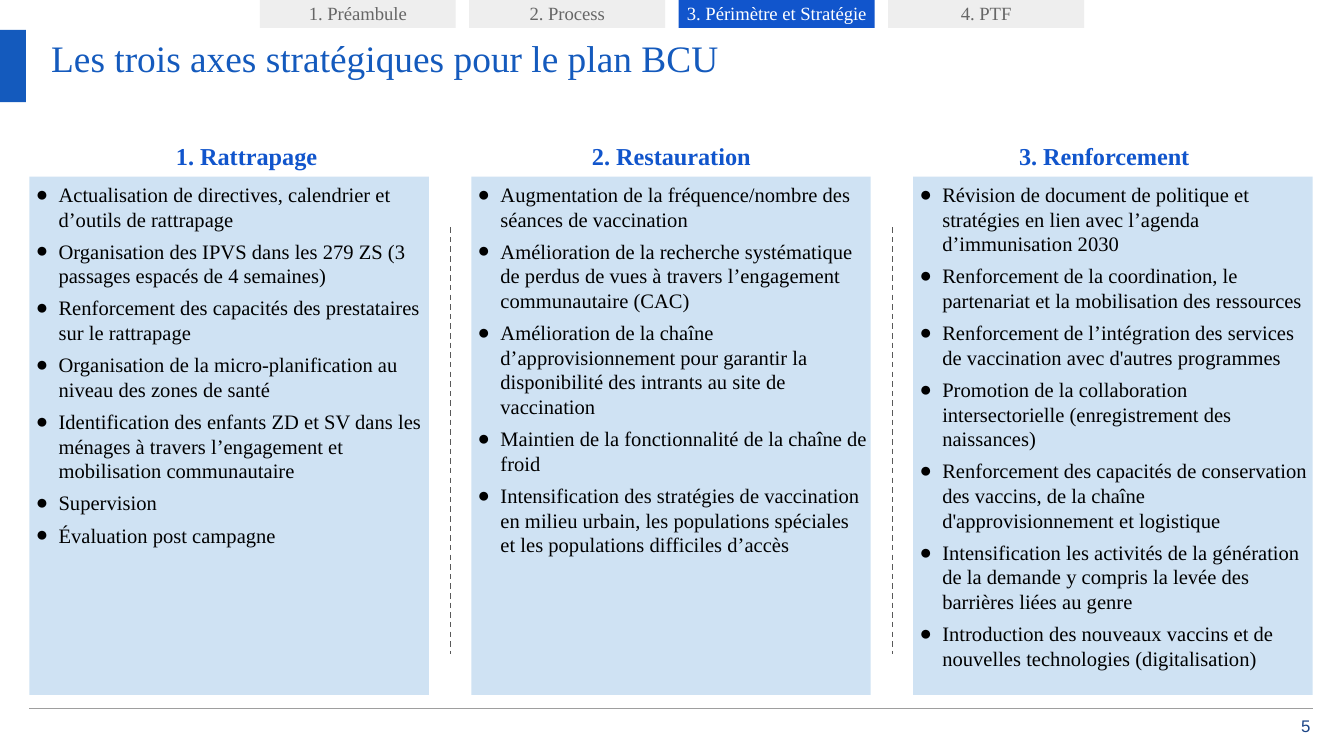
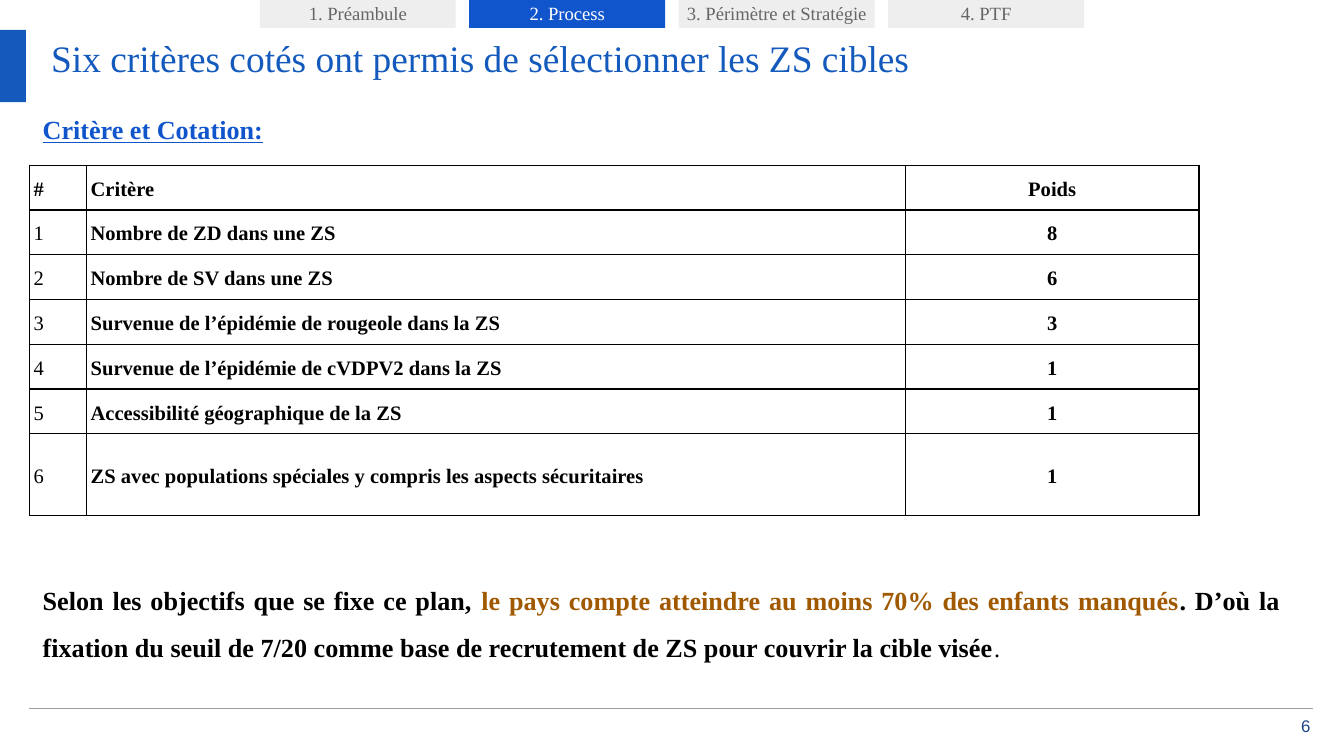
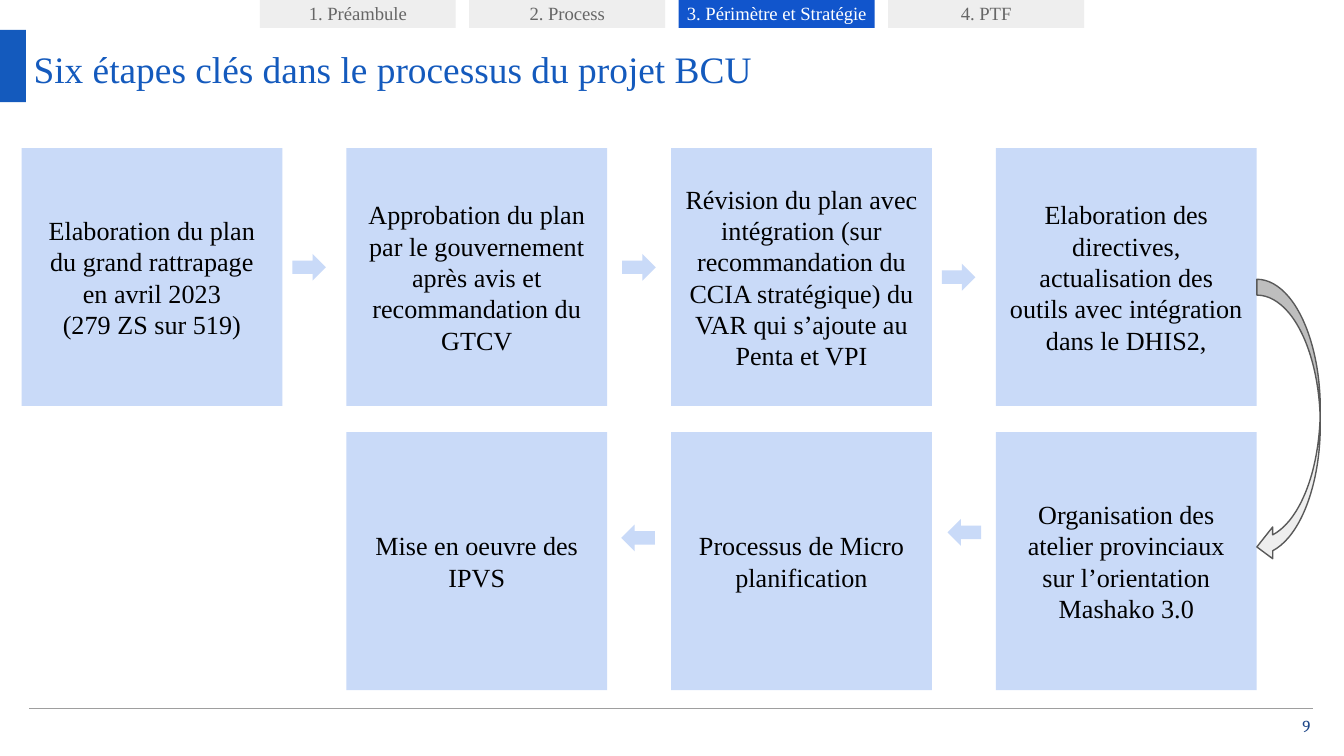
"""Build three slides on the BCU vaccination plan."""
from dataclasses import dataclass

import lxml.etree
import pptx
import pptx.dml.color
import pptx.enum.dml
import pptx.enum.shapes
import pptx.enum.text
import pptx.oxml.ns
import pptx.presentation
import pptx.shapes.autoshape
import pptx.slide
import pptx.text.text
import pptx.util

Pt = pptx.util.Pt
Align = pptx.enum.text.PP_ALIGN
Anchor = pptx.enum.text.MSO_ANCHOR
Preset = pptx.enum.shapes.MSO_SHAPE
qn = pptx.oxml.ns.qn

SERIF = "Times New Roman"
BLACK, WHITE = "000000", "FFFFFF"
TITLE_BLUE, ACCENT_BLUE, NUMBER_BLUE = "145ABD", "1155CC", "1C4587"
PANEL_BLUE, STEP_BLUE = "CFE2F3", "C9DAF8"
TAB_GREY, TAB_TEXT = "EEEEEE", "666666"
RULE_GREY, DARK_GREY = "9E9E9E", "595959"
OCHRE = "A05900"

SECTIONS = ["1. Préambule", "2. Process", "3. Périmètre et Stratégie", "4. PTF"]


@dataclass(frozen=True)
class Frame:
    """Position and size in points."""
    left: float
    top: float
    width: float
    height: float


@dataclass(frozen=True)
class Segment:
    """A run of text with its look."""
    text: str
    size: float = 14
    color: str = BLACK
    bold: bool = False
    underline: bool = False
    font: str = SERIF


@dataclass(frozen=True)
class Para:
    """A paragraph made of segments."""
    segments: list[Segment]
    align: Align = Align.LEFT
    spacing: float = 1
    before: float = 0
    margin: float = 0
    bullet: bool = False


@dataclass(frozen=True)
class Axis:
    """A strategic axis: its heading and its actions."""
    heading: str
    heading_left: float
    heading_margin: float
    actions: list[str]


@dataclass(frozen=True)
class Step:
    """A step of the process, placed by grid column and row."""
    column: int
    row: int
    lines: list[str]


@dataclass(frozen=True)
class StepArrow:
    """A small arrow between two steps."""
    left: float
    top: float
    rotation: float = 0


AXES = [
    Axis("1. Rattrapage", 54, 0, [
        "Actualisation de directives, calendrier et d’outils de rattrapage",
        "Organisation des IPVS dans les 279 ZS (3 passages espacés de 4 semaines)",
        "Renforcement des capacités des prestataires sur le rattrapage",
        "Organisation de la micro-planification au niveau des zones de santé",
        "Identification des enfants ZD et SV dans les ménages à travers l’engagement et "
        "mobilisation communautaire",
        "Supervision",
        "Évaluation post campagne",
    ]),
    Axis("2. Restauration", 281.5, 0, [
        "Augmentation de la fréquence/nombre des séances de vaccination",
        "Amélioration de la recherche systématique de perdus de vues à travers l’engagement "
        "communautaire (CAC)",
        "Amélioration de la chaîne d’approvisionnement pour garantir la disponibilité des "
        "intrants au site de vaccination",
        "Maintien de la fonctionnalité de la chaîne de froid",
        "Intensification des stratégies de vaccination en milieu urbain, les populations "
        "spéciales et les populations difficiles d’accès",
    ]),
    Axis("3. Renforcement", 495.4, 36, [
        "Révision de document de politique et stratégies en lien avec l’agenda "
        "d’immunisation 2030",
        "Renforcement de la coordination, le partenariat et la mobilisation des ressources",
        "Renforcement de l’intégration des services de vaccination avec d'autres programmes",
        "Promotion de la collaboration intersectorielle (enregistrement des naissances)",
        "Renforcement des capacités de conservation des vaccins, de la chaîne "
        "d'approvisionnement et logistique",
        "Intensification les activités de la génération de la demande y compris la levée des "
        "barrières liées au genre",
        "Introduction des nouveaux vaccins et de nouvelles technologies (digitalisation)",
    ]),
]

CRITERIA = [
    ("#", "Critère", "Poids"),
    ("1", "Nombre de ZD dans une ZS", "8"),
    ("2", "Nombre de SV dans une ZS", "6"),
    ("3", "Survenue de l’épidémie de rougeole dans la ZS", "3"),
    ("4", "Survenue de l’épidémie de cVDPV2 dans la ZS", "1"),
    ("5", "Accessibilité géographique de la ZS", "1"),
    ("6", "ZS avec populations spéciales y compris les aspects sécuritaires", "1"),
]

STEPS = [
    Step(0, 0, ["Elaboration du plan du grand rattrapage en avril 2023", "(279 ZS sur 519)"]),
    Step(1, 0, ["Approbation du plan par le gouvernement après avis et recommandation du GTCV"]),
    Step(2, 0, ["Révision du plan avec intégration (sur recommandation du CCIA stratégique) du "
                "VAR qui s’ajoute au Penta et VPI"]),
    Step(3, 0, ["Elaboration des directives, actualisation des outils avec intégration dans le "
                "DHIS2,"]),
    Step(3, 1, ["Organisation des atelier provinciaux sur l’orientation Mashako 3.0"]),
    Step(2, 1, ["Processus de Micro planification"]),
    Step(1, 1, ["Mise en oeuvre des IPVS"]),
]

STEP_ARROWS = [
    StepArrow(156.6, 136),
    StepArrow(333.3, 136),
    StepArrow(504.5, 141.3),
    StepArrow(507.6, 278, 180),
    StepArrow(332.8, 281, 180),
]


def rgb(color: str) -> pptx.dml.color.RGBColor:
    """Turn a hex string into a colour."""
    return pptx.dml.color.RGBColor.from_string(color)


def box(frame: Frame) -> tuple[int, int, int, int]:
    """Give a frame as four lengths."""
    return Pt(frame.left), Pt(frame.top), Pt(frame.width), Pt(frame.height)


def write(text_frame: pptx.text.text.TextFrame, paras: list[Para]) -> None:
    """Write paragraphs run by run."""
    for index, para in enumerate(paras):
        paragraph = text_frame.add_paragraph() if index else text_frame.paragraphs[0]
        paragraph.alignment = para.align
        paragraph.line_spacing = para.spacing
        if para.before and index:
            paragraph.space_before = Pt(para.before)
        properties = paragraph._p.get_or_add_pPr()
        if para.margin:
            properties.set("marL", str(Pt(para.margin)))
        if para.bullet:
            properties.set("indent", str(Pt(-12.2)))
            bullet_color = lxml.etree.SubElement(properties, qn("a:buClr"))
            lxml.etree.SubElement(bullet_color, qn("a:srgbClr"), val=BLACK)
            lxml.etree.SubElement(properties, qn("a:buFont"), typeface=SERIF)
            lxml.etree.SubElement(properties, qn("a:buChar"), char="●")
        for segment in para.segments:
            run = paragraph.add_run()
            run.text = segment.text
            run.font.name = segment.font
            run.font.size = Pt(segment.size)
            run.font.bold = segment.bold
            run.font.underline = segment.underline
            run.font.color.rgb = rgb(segment.color)


def fill_frame(text_frame: pptx.text.text.TextFrame, paras: list[Para],
               insets: tuple[float, float, float, float], anchor: Anchor) -> None:
    """Set wrapping, insets (left, top, right, bottom) and anchor, then write."""
    text_frame.word_wrap = True
    text_frame.vertical_anchor = anchor
    (text_frame.margin_left, text_frame.margin_top,
     text_frame.margin_right, text_frame.margin_bottom) = map(Pt, insets)
    write(text_frame, paras)


def add_text(slide: pptx.slide.Slide, frame: Frame, paras: list[Para],
             insets: tuple[float, float, float, float] = (7.2, 7.2, 7.2, 7.2),
             anchor: Anchor = Anchor.TOP) -> None:
    """Add a text box."""
    fill_frame(slide.shapes.add_textbox(*box(frame)).text_frame, paras, insets, anchor)


def add_block(slide: pptx.slide.Slide, frame: Frame, color: str,
              preset: Preset = Preset.RECTANGLE) -> pptx.shapes.autoshape.Shape:
    """Add a flat filled shape without outline."""
    block = slide.shapes.add_shape(preset, *box(frame))
    block.shadow.inherit = False
    block.fill.solid()
    block.fill.fore_color.rgb = rgb(color)
    block.line.fill.background()
    return block


def add_rule(slide: pptx.slide.Slide, start: tuple[float, float], end: tuple[float, float],
             color: str, dashed: bool = False) -> None:
    """Add a thin straight line."""
    rule = slide.shapes.add_connector(
        pptx.enum.shapes.MSO_CONNECTOR.STRAIGHT, *map(Pt, start + end))
    rule.line.color.rgb = rgb(color)
    rule.line.width = Pt(0.75)
    if dashed:
        rule.line.dash_style = pptx.enum.dml.MSO_LINE.DASH
    lxml.etree.SubElement(rule._element.spPr, qn("a:effectLst"))


def start_slide(deck: pptx.presentation.Presentation, title: str, section: int, number: str,
                title_frame: Frame = Frame(27.4, 18.7, 666, 43.2),
                title_inset: float = 0, number_font: str = "Arial") -> pptx.slide.Slide:
    """Add a slide with its band, section tabs, title and footer."""
    slide = deck.slides.add_slide(deck.slide_layouts[6])
    slide.background.fill.solid()
    slide.background.fill.fore_color.rgb = rgb(WHITE)
    add_block(slide, Frame(0, 16, 13.9, 38.7), TITLE_BLUE)
    for index, name in enumerate(SECTIONS):
        active = index == section
        tab = add_block(slide, Frame(139.2 + 112.2 * index, -0.6, 105, 15.6),
                        ACCENT_BLUE if active else TAB_GREY)
        label = Segment(name, 10, WHITE if active else TAB_TEXT)
        fill_frame(tab.text_frame, [Para([label], Align.CENTER)], (1.4, 0, 1.4, 0),
                   Anchor.MIDDLE)
    add_text(slide, title_frame, [Para([Segment(title, 20, TITLE_BLUE)])],
             (0, title_inset, title_inset, title_inset))
    add_rule(slide, (15.8, 379.6), (703.4, 379.6), RULE_GREY)
    page = Segment(number, 9, NUMBER_BLUE, font=number_font)
    add_text(slide, Frame(688.3, 383.8, 13.7, 10), [Para([page], Align.RIGHT)],
             (0, 0, 0, 0), Anchor.MIDDLE)
    return slide


def build_axes(deck: pptx.presentation.Presentation) -> None:
    """Show the three strategic axes side by side."""
    slide = start_slide(deck, "Les trois axes stratégiques pour le plan BCU", 2, "5")
    for index, axis in enumerate(AXES):
        left = 15.8 + 236.7 * index
        panel = add_block(slide, Frame(left, 94.6, 214, 277.8), PANEL_BLUE)
        actions = [Para([Segment(action, 11)], before=4, margin=14.2, bullet=True)
                   for action in axis.actions]
        fill_frame(panel.text_frame, actions, (1.4, 2.9, 1.4, 2.9), Anchor.TOP)
        heading = Segment(axis.heading, 13, ACCENT_BLUE, bold=True)
        add_text(slide, Frame(axis.heading_left, 66.2, 156.2, 19.4),
                 [Para([heading], Align.CENTER, 1.15, margin=axis.heading_margin)])
        if index:
            divider = left - 11.2
            add_rule(slide, (divider, 121.7), (divider, 350.6), DARK_GREY, dashed=True)


def build_criteria(deck: pptx.presentation.Presentation) -> None:
    """Show the weighted selection criteria and the threshold."""
    slide = start_slide(
        deck, "Six critères cotés ont permis de sélectionner les ZS cibles", 1, "6")
    heading = Para([Segment("Critère et Cotation:", color=ACCENT_BLUE, bold=True,
                            underline=True)], spacing=1.15)
    threshold = Para([
        Segment("Selon les objectifs que se fixe ce plan, ", bold=True),
        Segment("le pays compte atteindre au moins 70% des enfants manqués", color=OCHRE,
                bold=True),
        Segment(". D’où la fixation du seuil de 7/20 comme base de recrutement de ZS pour "
                "couvrir la cible visée", bold=True),
        Segment(".", 13),
    ], Align.JUSTIFY, 1.5, before=227)
    add_text(slide, Frame(15.8, 51.1, 676.8, 313.9), [heading, threshold])

    table = slide.shapes.add_table(
        len(CRITERIA), 3, *box(Frame(15.8, 88.5, 626.6, 188))).table
    table.first_row = table.horz_banding = False
    for column, width in zip(table.columns, (30.6, 438.7, 157.3)):
        column.width = Pt(width)
    for row_index, criterion in enumerate(CRITERIA):
        last = row_index == len(CRITERIA) - 1
        table.rows[row_index].height = Pt(44 if last else 24)
        for column_index, value in enumerate(criterion):
            cell = table.cell(row_index, column_index)
            cell.vertical_anchor = Anchor.MIDDLE
            cell.margin_left = cell.margin_right = Pt(2.2)
            cell.margin_top = cell.margin_bottom = Pt(1.4)
            properties = cell._tc.get_or_add_tcPr()
            for side in ("L", "R", "T", "B"):
                border = lxml.etree.SubElement(properties, qn(f"a:ln{side}"), w=str(Pt(0.75)))
                stroke = lxml.etree.SubElement(border, qn("a:solidFill"))
                lxml.etree.SubElement(stroke, qn("a:srgbClr"), val=BLACK)
            cell.fill.background()
            bold = row_index == 0 or column_index > 0
            align = Align.CENTER if column_index == 2 else Align.LEFT
            write(cell.text_frame, [Para([Segment(value, 11, bold=bold)], align, 1.15)])


def build_steps(deck: pptx.presentation.Presentation) -> None:
    """Show the six key steps as a chain of boxes."""
    slide = start_slide(deck, "Six étapes clés dans le processus du projet BCU", 2, "9",
                        Frame(18, 17.3, 684, 38.9), 7.2, "Cambria")
    for step in STEPS:
        frame = Frame(11.6 + 174 * step.column, 79.3 + 152.2 * step.row, 139.7, 138.2)
        lines = [Para([Segment(line)], Align.CENTER) for line in step.lines]
        fill_frame(add_block(slide, frame, STEP_BLUE).text_frame, lines,
                   (7.2, 7.2, 7.2, 7.2), Anchor.MIDDLE)
    for arrow in STEP_ARROWS:
        pointer = add_block(slide, Frame(arrow.left, arrow.top, 18, 14.4), STEP_BLUE,
                            Preset.RIGHT_ARROW)
        pointer.rotation = arrow.rotation
    turn = add_block(slide, Frame(673.3, 149.6, 34, 151.9), TAB_GREY, Preset.CURVED_LEFT_ARROW)
    turn.line.color.rgb = rgb(DARK_GREY)
    turn.line.width = Pt(0.75)


def main() -> None:
    """Build and save the deck."""
    deck = pptx.Presentation()
    deck.slide_width, deck.slide_height = Pt(720), Pt(405)
    build_axes(deck)
    build_criteria(deck)
    build_steps(deck)
    deck.save("out.pptx")


if __name__ == "__main__":
    main()
